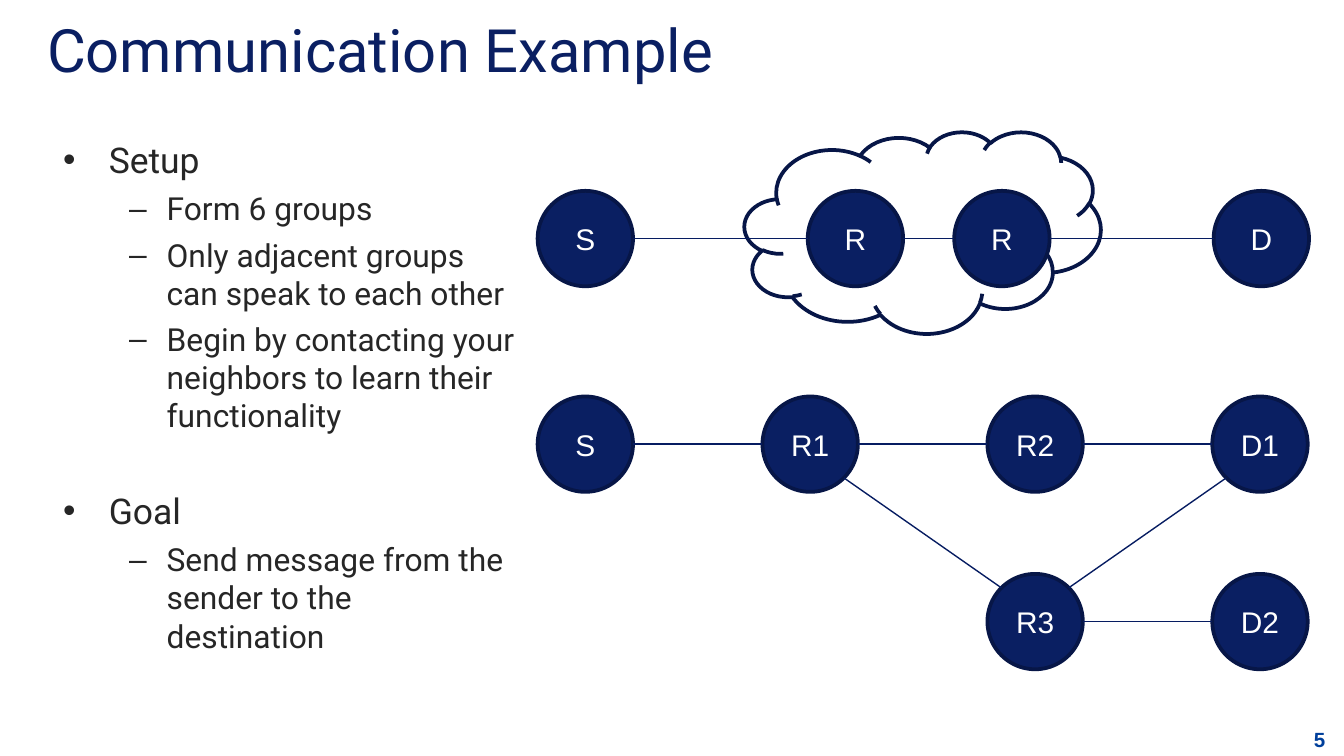
"""Build the communication example slide with two network diagrams."""
from dataclasses import dataclass
from math import sqrt

from lxml.etree import SubElement
from pptx import Presentation
from pptx.dml.color import RGBColor
from pptx.enum.shapes import MSO_CONNECTOR as Conn, MSO_SHAPE as Shape
from pptx.enum.text import MSO_ANCHOR as Anchor, MSO_AUTO_SIZE as AutoSize, PP_ALIGN as Align
from pptx.oxml.ns import qn
from pptx.util import Inches, Pt

NAVY, EDGE, LINK, INK, WHITE, PAGE = "0A1F62", "071647", "061C61", "262626", "FFFFFF", "003F9B"
WIDTH = 10
HEIGHT = WIDTH * 9 / 16
SIZE = 0.71
COLS = [4 + 5.02 * i / 3 for i in range(4)]
CHAIN_Y, TOP_Y, LOW_Y = 1.42, 2.95, 4.27


@dataclass
class Node:
    label: str
    x: float
    y: float


@dataclass
class Bullet:
    text: str
    level: int = 1
    before: float = 4.4


CHAIN = [Node("S", COLS[0], CHAIN_Y), Node("R", 6.01, CHAIN_Y),
         Node("R", 7.1, CHAIN_Y), Node("D", 9.03, CHAIN_Y)]
S, R1, R2, D1 = MESH_TOP = [Node(t, x, TOP_Y) for t, x in zip(("S", "R1", "R2", "D1"), COLS)]
R3, D2 = MESH_LOW = [Node(t, x, LOW_Y) for t, x in zip(("R3", "D2"), COLS[2:])]
LINKS = [*zip(CHAIN, CHAIN[1:]), *zip(MESH_TOP, MESH_TOP[1:]), (R1, R3), (R3, D2), (R3, D1)]
BULLETS = [
    Bullet("Setup", 0, 4.8),
    Bullet("Form 6 groups"),
    Bullet("Only adjacent groups can speak to each other"),
    Bullet("Begin by contacting your neighbors to learn their functionality"),
    Bullet("Goal", 0, 29.6),
    Bullet("Send message from the sender to the destination"),
]


def rgb(value: str) -> RGBColor:
    """Turn a hex string into a colour."""
    return RGBColor.from_string(value)


def place(sp, x: float, y: float, w: float, h: float) -> None:
    """Move and size a shape in inches."""
    sp.left, sp.top, sp.width, sp.height = map(Inches, (x, y, w, h))


def style(p, size: float, color: str, font: str, align=Align.LEFT, bold: bool = False) -> None:
    """Format a paragraph and its runs."""
    p.alignment = align
    for r in p.runs:
        r.font.size, r.font.name, r.font.bold = Pt(size), font, bold
        r.font.color.rgb = rgb(color)


def add_outlined(s, kind, x: float, y: float, w: float, h: float, fill: str):
    """Add a filled shape with a dark outline."""
    sp = s.shapes.add_shape(kind, *map(Inches, (x, y, w, h)))
    sp.shadow.inherit = False
    sp.fill.solid()
    sp.fill.fore_color.rgb = rgb(fill)
    sp.line.color.rgb = rgb(EDGE)
    sp.line.width = Pt(2)
    return sp


def add_node(s, node: Node) -> None:
    """Draw a labelled network node."""
    tf = add_outlined(s, Shape.OVAL, node.x, node.y, SIZE, SIZE, NAVY).text_frame
    tf.text = node.label
    tf.vertical_anchor = Anchor.MIDDLE
    style(tf.paragraphs[0], 16, WHITE, "Arial", Align.CENTER)


def add_link(s, a: Node, b: Node) -> None:
    """Join the facing edges of two nodes."""
    r = SIZE / 2
    dx = r if a.y == b.y else r / sqrt(2)
    dy = 0 if a.y == b.y else dx if b.y > a.y else -dx
    ends = a.x + r + dx, a.y + r + dy, b.x + r - dx, b.y + r - dy
    line = s.shapes.add_connector(Conn.STRAIGHT, *map(Inches, ends))
    line.line.color.rgb = rgb(LINK)
    line.line.width = Pt(0.75)
    SubElement(line._element.spPr, qn("a:effectLst"))


def fill_title(sp) -> None:
    """Write the slide title."""
    place(sp, 0.25, 0.06, 7.25, 0.6)
    tf = sp.text_frame
    tf.text = "Communication Example"
    tf.auto_size, tf.vertical_anchor = AutoSize.NONE, Anchor.MIDDLE
    style(tf.paragraphs[0], 32, NAVY, "Roboto")


def fill_body(sp) -> None:
    """Write the two-level bullet list."""
    place(sp, 0.33, 0.98, 3.62, 4.17)
    tf = sp.text_frame
    tf.text = "\n".join(b.text for b in BULLETS)
    tf.auto_size, tf.vertical_anchor = AutoSize.NONE, Anchor.TOP
    for p, b in zip(tf.paragraphs, BULLETS):
        p.level, p.space_before = b.level, Pt(b.before)
        style(p, (19, 17)[b.level], INK, "Roboto")
        margin, indent = ((0.38, -0.34), (0.81, -0.28))[b.level]
        pPr = p._p.get_or_add_pPr()
        pPr.set("marL", str(Inches(margin)))
        pPr.set("indent", str(Inches(indent)))


def add_page_number(s) -> None:
    """Write the page number in the corner."""
    tf = s.shapes.add_textbox(*map(Inches, (9.29, 5.36, 0.67, 0.29))).text_frame
    tf.word_wrap = True
    tf.text = "5"
    style(tf.paragraphs[0], 11, PAGE, "Arial", Align.RIGHT, True)


def main() -> None:
    """Build and save the slide."""
    prs = Presentation()
    prs.slide_width, prs.slide_height = Inches(WIDTH), Inches(HEIGHT)
    s = prs.slides.add_slide(prs.slide_layouts[1])
    fill_title(s.shapes.title)
    fill_body(s.placeholders[1])
    add_page_number(s)
    add_outlined(s, Shape.CLOUD, 5.54, 0.98, 2.65, 1.5, WHITE)
    for node in CHAIN + MESH_TOP + MESH_LOW:
        add_node(s, node)
    for a, b in LINKS:
        add_link(s, a, b)
    prs.save("out.pptx")


if __name__ == "__main__":
    main()
